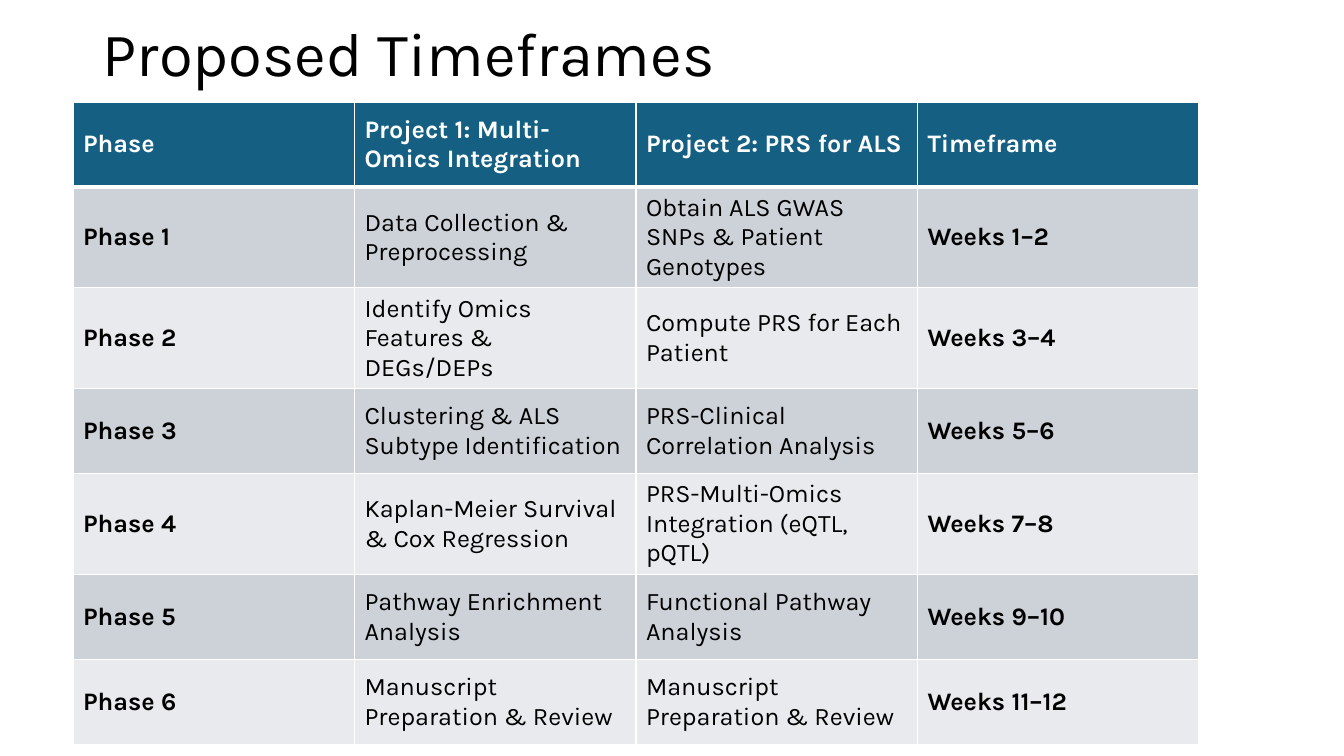
from lxml import etree
from pptx import Presentation
from pptx import util as u
from pptx.dml.color import RGBColor
from pptx.enum import text
from pptx.oxml.ns import qn

# Content
TITLE = "Proposed Timeframes"
HEADER = ("Phase", "Project 1: Multi-Omics Integration", "Project 2: PRS for ALS", "Timeframe")
PHASES = [
    ("Phase 1", "Data Collection & Preprocessing", "Obtain ALS GWAS SNPs & Patient Genotypes", "Weeks 1–2"),
    ("Phase 2", "Identify Omics Features & DEGs/DEPs", "Compute PRS for Each Patient", "Weeks 3–4"),
    ("Phase 3", "Clustering & ALS Subtype Identification", "PRS-Clinical Correlation Analysis", "Weeks 5–6"),
    ("Phase 4", "Kaplan-Meier Survival & Cox Regression", "PRS-Multi-Omics Integration (eQTL, pQTL)", "Weeks 7–8"),
    ("Phase 5", "Pathway Enrichment Analysis", "Functional Pathway Analysis", "Weeks 9–10"),
    ("Phase 6", "Manuscript Preparation & Review", "Manuscript Preparation & Review", "Weeks 11–12"),
]

# Style and layout, lengths in px
FONT = "Karla"
COLORS = {"header": "156082", "odd": "CCD2D8", "even": "E8EAED", "white": "FFFFFF", "black": "000000"}
EMU_PER_PX = 914400 / 100.8
SLIDE_SIZE = (1344, 756)
TITLE_BOX = (93, -16, 1159, 146)
TABLE_LEFT, TABLE_TOP, TABLE_WIDTH, ROW_HEIGHT = 73, 102, 1126, 85


def px(length):
    return u.Emu(round(length * EMU_PER_PX))


def add_run(paragraph, words, size, color, bold=False):
    run = paragraph.add_run()
    run.text = words
    run.font.name = FONT
    run.font.size = u.Pt(size)
    run.font.bold = bold
    run.font.color.rgb = RGBColor.from_string(COLORS[color])


def set_borders(cell, widths):
    properties = cell._tc.get_or_add_tcPr()
    for side, width in widths.items():
        line = etree.SubElement(properties, qn(f"a:ln{side}"), w=str(u.Pt(width)))
        fill = etree.SubElement(line, qn("a:solidFill"))
        etree.SubElement(fill, qn("a:srgbClr"), val=COLORS["white"])


def fill_cell(cell, words, row, column):
    is_header = row == 0
    # The rule below the header is thicker than the others
    set_borders(cell, {"L": 1, "R": 1, "T": 3 if row == 1 else 1, "B": 3 if is_header else 1})
    band = "header" if is_header else "odd" if row % 2 else "even"
    cell.fill.solid()
    cell.fill.fore_color.rgb = RGBColor.from_string(COLORS[band])
    cell.vertical_anchor = text.MSO_ANCHOR.MIDDLE
    add_run(cell.text_frame.paragraphs[0], words, 18,
            "white" if is_header else "black",
            bold=is_header or column in (0, len(HEADER) - 1))


def main():
    presentation = Presentation()
    presentation.slide_width, presentation.slide_height = map(px, SLIDE_SIZE)
    slide = presentation.slides.add_slide(presentation.slide_layouts[6])

    # Title
    frame = slide.shapes.add_textbox(*map(px, TITLE_BOX)).text_frame
    frame.word_wrap = True
    frame.vertical_anchor = text.MSO_ANCHOR.MIDDLE
    frame.paragraphs[0].line_spacing = 0.9
    add_run(frame.paragraphs[0], TITLE, 44, "black")

    # Timeframe table
    rows = [HEADER, *PHASES]
    table = slide.shapes.add_table(
        len(rows), len(HEADER), px(TABLE_LEFT), px(TABLE_TOP),
        px(TABLE_WIDTH), px(ROW_HEIGHT * len(rows))).table
    for column in table.columns:
        column.width = px(TABLE_WIDTH / len(HEADER))
    for row_index, row in enumerate(rows):
        table.rows[row_index].height = px(ROW_HEIGHT)
        for column_index, words in enumerate(row):
            fill_cell(table.cell(row_index, column_index), words, row_index, column_index)

    presentation.save("out.pptx")


if __name__ == "__main__":
    main()
